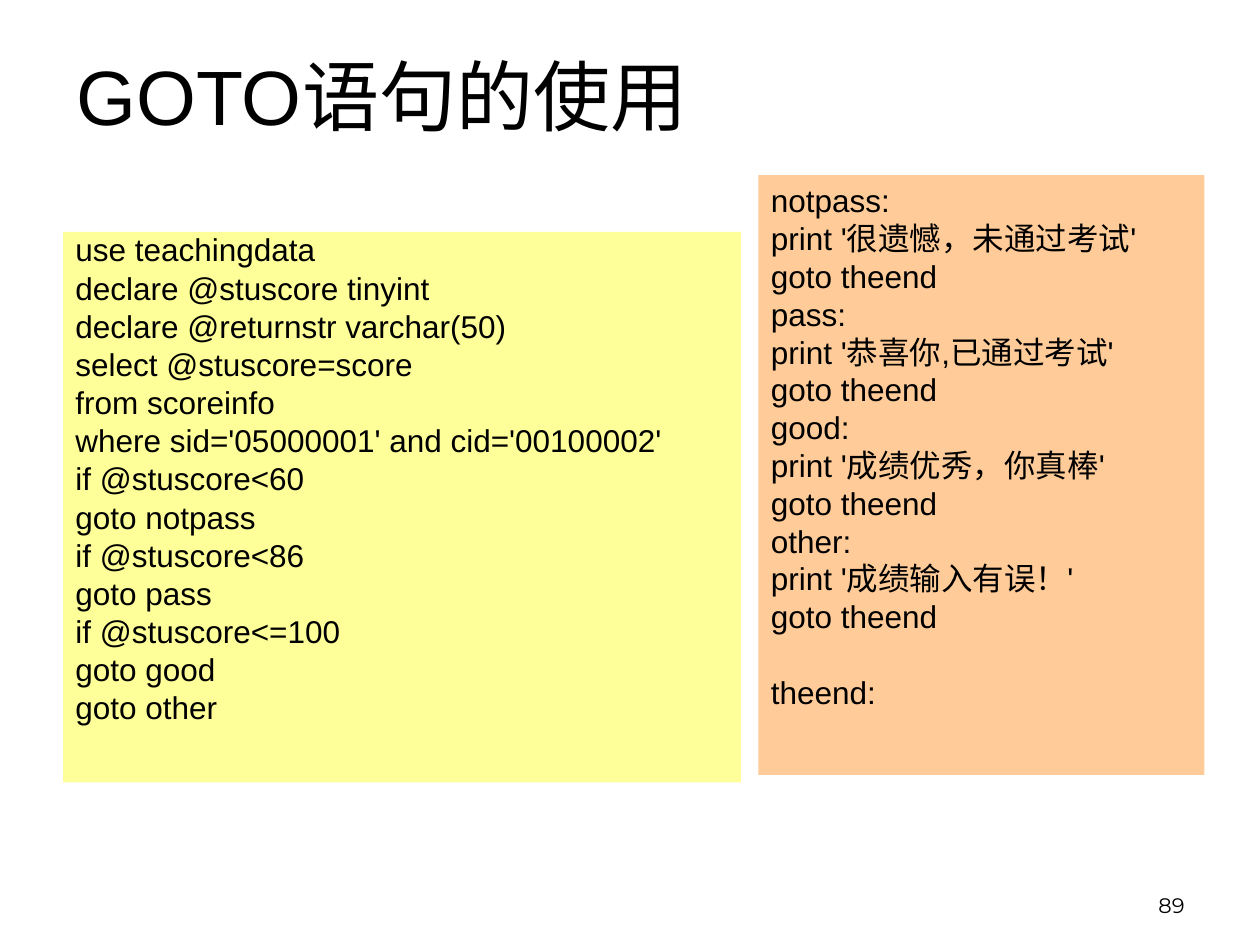
from pptx import Presentation
from pptx.dml.color import RGBColor
from pptx.enum.shapes import MSO_SHAPE
from pptx.enum.text import MSO_ANCHOR, PP_ALIGN
from pptx.util import Inches, Pt

BLACK = RGBColor(0x00, 0x00, 0x00)
YELLOW = RGBColor(0xFF, 0xFF, 0x99)
ORANGE = RGBColor(0xFF, 0xCC, 0x99)

TITLE = "GOTO语句的使用"
PAGE_NUMBER = "89"
BRANCHES = [
    "use teachingdata",
    "declare @stuscore tinyint",
    "declare @returnstr varchar(50)",
    "select @stuscore=score",
    "from scoreinfo",
    "where sid='05000001' and cid='00100002'",
    "if @stuscore<60",
    "goto notpass",
    "if @stuscore<86",
    "goto pass",
    "if @stuscore<=100",
    "goto good",
    "goto other",
]
MESSAGES = [
    ("notpass:", "很遗憾，未通过考试"),
    ("pass:", "恭喜你,已通过考试"),
    ("good:", "成绩优秀，你真棒"),
    ("other:", "成绩输入有误！"),
]
LABELS = [
    line
    for label, message in MESSAGES
    for line in (label, f"print '{message}'", "goto theend")
] + ["theend:"]

LINE_HEIGHT = 21.6
BRANCH_HEIGHT = 0.8 * LINE_HEIGHT


def write(shape, lines, size, font="Arial", anchor=MSO_ANCHOR.TOP):
    frame = shape.text_frame
    frame.word_wrap = True
    frame.vertical_anchor = anchor
    frame.text = "\n".join(lines)
    for paragraph in frame.paragraphs:
        paragraph.alignment = PP_ALIGN.LEFT
        for span in paragraph.runs:
            span.font.size = Pt(size)
            span.font.name = font
            span.font.color.rgb = BLACK
    return frame.paragraphs


def add_text(page, area, text, size, font, anchor):
    box = page.shapes.add_textbox(*map(Inches, area))
    return write(box, [text], size, font, anchor)[0]


def add_code(page, area, fill, lines, line_height):
    panel = page.shapes.add_shape(MSO_SHAPE.RECTANGLE, *map(Inches, area))
    panel.shadow.inherit = False
    panel.fill.solid()
    panel.fill.fore_color.rgb = fill
    panel.line.fill.background()
    paragraphs = write(panel, lines, 18)
    for paragraph in paragraphs:
        paragraph.line_spacing = Pt(line_height)
    return paragraphs


def main():
    deck = Presentation()
    deck.slide_width, deck.slide_height = Inches(10), Inches(7.5)
    page = deck.slides.add_slide(deck.slide_layouts[6])

    number = add_text(page, (7.17, 6.83, 2.33, 0.5), PAGE_NUMBER, 12,
                      "Montserrat", MSO_ANCHOR.BOTTOM)
    number.alignment = PP_ALIGN.RIGHT
    add_text(page, (0.51, 0, 9, 1.5), TITLE, 44, "Arial", MSO_ANCHOR.MIDDLE)

    branches = add_code(page, (0.5, 1.84, 5.38, 4.37), YELLOW, BRANCHES, BRANCH_HEIGHT)
    for paragraph in branches[1:]:
        paragraph.space_before = Pt(4.5)

    labels = add_code(page, (6.02, 1.39, 3.54, 4.76), ORANGE, LABELS, LINE_HEIGHT)
    labels[-1].space_before = Pt(LINE_HEIGHT)

    deck.save("out.pptx")


if __name__ == "__main__":
    main()
